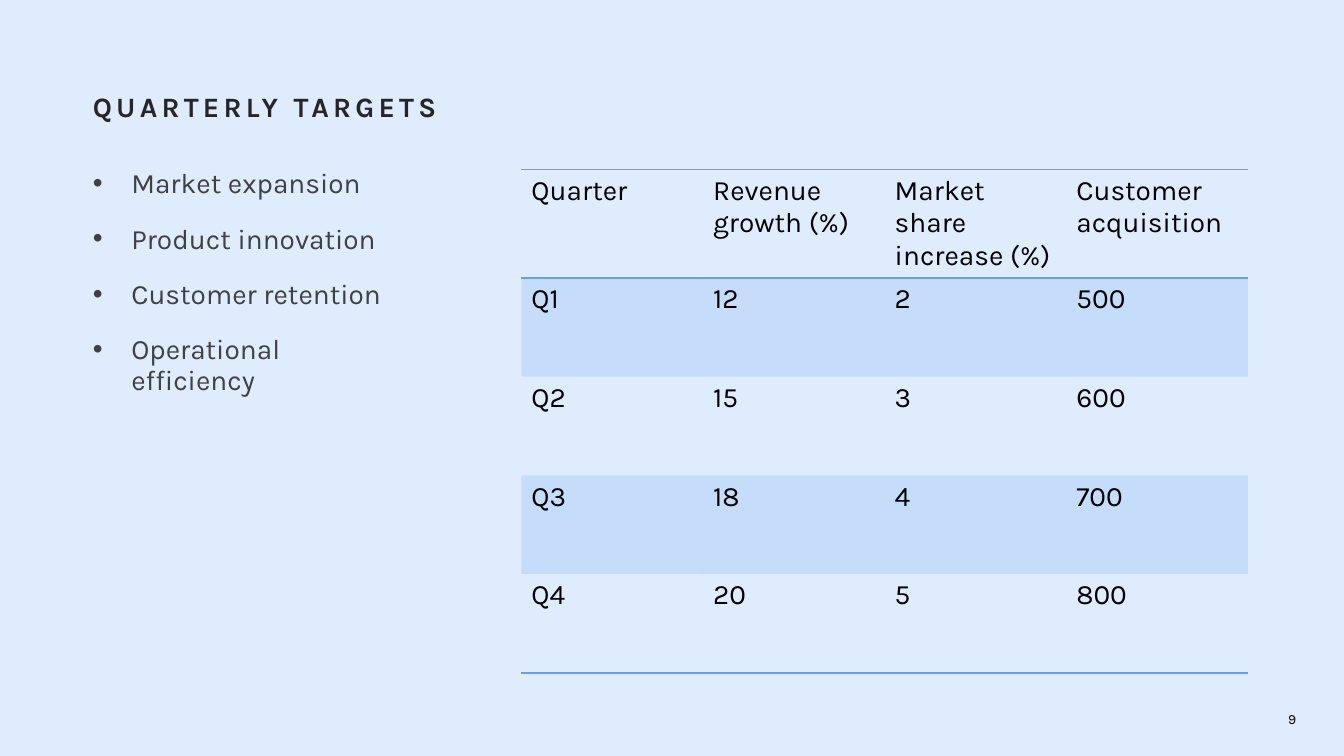
from dataclasses import dataclass

from lxml import etree
from pptx import Presentation
from pptx.dml.color import RGBColor
from pptx.enum.text import MSO_ANCHOR, MSO_AUTO_SIZE, PP_ALIGN
from pptx.oxml.ns import qn
from pptx.util import Cm, Pt

LEFT, RIGHT = PP_ALIGN.LEFT, PP_ALIGN.RIGHT
TOP, MIDDLE = MSO_ANCHOR.TOP, MSO_ANCHOR.MIDDLE
NO_AUTOFIT = MSO_AUTO_SIZE.NONE
PLAIN_TABLE_STYLE = "{2D5ABB26-0587-4C30-8999-92F81FD0307C}"


@dataclass(frozen=True)
class Theme:
    font: str = "Karla"
    background: str = "DFECFD"
    heading: str = "262626"
    body: str = "404040"
    ink: str = "000000"
    accent: str = "60A2F5"
    main_size: int = 20
    number_size: int = 10
    band_alpha: int = 20000


THEME = Theme()
TARGETS = ["Market expansion", "Product innovation", "Customer retention", "Operational efficiency"]
RESULTS = [
    ["Quarter", "Revenue growth (%)", "Market share increase (%)", "Customer acquisition"],
    ["Q1", "12", "2", "500"],
    ["Q2", "15", "3", "600"],
    ["Q3", "18", "4", "700"],
    ["Q4", "20", "5", "800"],
]


def set_all(target, values):
    for attribute, value in values.items():
        setattr(target, attribute, value)


def place(shape, box):
    set_all(shape, dict(zip(("left", "top", "width", "height"), map(Cm, box))))


def write(paragraph, text, color, size=THEME.main_size, bold=False):
    run = paragraph.add_run()
    run.text = text
    set_all(run.font, {"name": THEME.font, "size": Pt(size), "bold": bold})
    run.font.color.rgb = RGBColor.from_string(color)
    return run


def prepare_frame(shape, anchor=TOP):
    frame = shape.text_frame
    set_all(frame, {
        "margin_left": 0, "margin_right": 0, "margin_top": 0, "margin_bottom": 0,
        "word_wrap": True, "auto_size": NO_AUTOFIT, "vertical_anchor": anchor,
    })
    return frame


def add_heading(slide, box):
    title = slide.shapes.title
    place(title, box)
    paragraph = prepare_frame(title).paragraphs[0]
    set_all(paragraph, {"alignment": LEFT, "line_spacing": 0.9})
    run = write(paragraph, "QUARTERLY TARGETS", THEME.heading, bold=True)
    run._r.get_or_add_rPr().set("spc", "300")


def add_targets(slide, box):
    body = slide.placeholders[1]
    place(body, box)
    frame = prepare_frame(body)
    indent = Cm(0.97)
    for index, target in enumerate(TARGETS):
        paragraph = frame.add_paragraph() if index else frame.paragraphs[0]
        properties = paragraph._p.get_or_add_pPr()
        properties.set("marL", str(indent))
        properties.set("indent", str(-indent))
        etree.SubElement(properties, qn("a:buChar")).set("char", "•")
        set_all(paragraph, {
            "alignment": LEFT, "line_spacing": 0.9,
            "space_before": Pt(0), "space_after": Pt(18),
        })
        write(paragraph, target, THEME.body)


def add_rule(cell, side):
    line = etree.SubElement(cell._tc.get_or_add_tcPr(), qn(f"a:{side}"), w=str(Pt(1)))
    fill = etree.SubElement(line, qn("a:solidFill"))
    etree.SubElement(fill, qn("a:srgbClr"), val=THEME.accent)


def fill_band(cell):
    cell.fill.solid()
    cell.fill.fore_color.rgb = RGBColor.from_string(THEME.accent)
    color = cell._tc.tcPr.find(f"{qn('a:solidFill')}/{qn('a:srgbClr')}")
    etree.SubElement(color, qn("a:alpha"), val=str(THEME.band_alpha))


def add_results(slide, box):
    row_count, column_count = len(RESULTS), len(RESULTS[0])
    frame = slide.shapes.add_table(row_count, column_count, *map(Cm, box))
    table = frame.table
    table._tbl.tblPr.find(qn("a:tableStyleId")).text = PLAIN_TABLE_STYLE
    for column in table.columns:
        column.width = Cm(box[2] / column_count)
    for row in table.rows:
        row.height = Cm(box[3] / row_count)
    rules = {0: ("lnT", "lnB"), row_count - 1: ("lnB",)}
    for row_index, values in enumerate(RESULTS):
        for column_index, value in enumerate(values):
            cell = table.cell(row_index, column_index)
            write(cell.text_frame.paragraphs[0], value, THEME.ink)
            for side in rules.get(row_index, ()):
                add_rule(cell, side)
            if row_index % 2:
                fill_band(cell)
            else:
                cell.fill.background()


def add_page_number(slide, box):
    number = slide.shapes.add_textbox(*map(Cm, box))
    paragraph = prepare_frame(number, MIDDLE).paragraphs[0]
    paragraph.alignment = RIGHT
    write(paragraph, "9", THEME.ink, THEME.number_size)


def build_targets_slide(deck):
    slide = deck.slides.add_slide(deck.slide_layouts[1])
    slide.background.fill.solid()
    slide.background.fill.fore_color.rgb = RGBColor.from_string(THEME.background)
    left, top, width, height = 2.34, 4.27, 29.11, 12.45
    table_width = 18.31
    add_heading(slide, (left, 2.34, width, 1.55))
    add_targets(slide, (left, top, 7.95, height))
    add_results(slide, (left + width - table_width, top, table_width, height))
    add_page_number(slide, (30.33, 17.73, 2.34, 0.79))


def main():
    deck = Presentation()
    set_all(deck, {"slide_width": Cm(33.87), "slide_height": Cm(19.05)})
    build_targets_slide(deck)
    deck.save("out.pptx")


if __name__ == "__main__":
    main()
